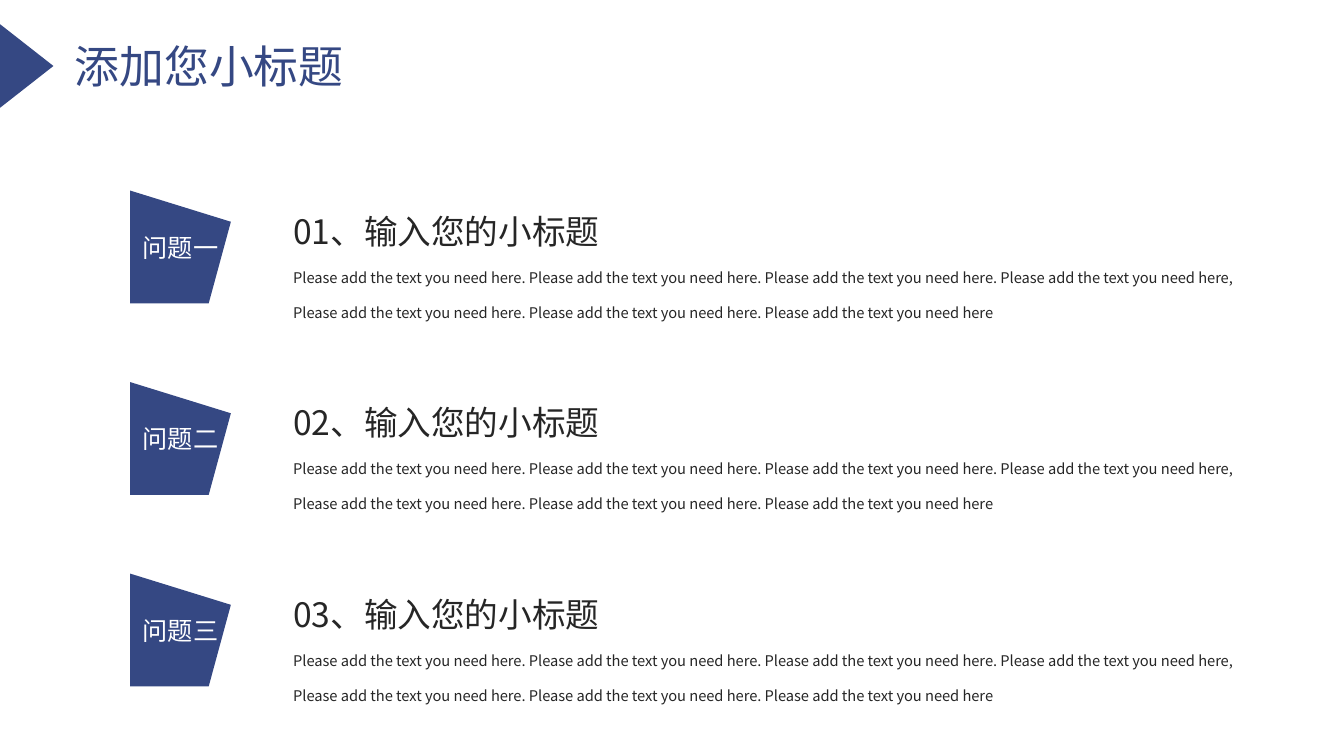
import dataclasses

import lxml.etree
import pptx
import pptx.dml.color
import pptx.enum.shapes
import pptx.enum.text
import pptx.oxml.ns
import pptx.util

PX = 9144  # EMU in one px, 100 px to the inch
FONT = "Noto Sans CJK SC"
BLUE, INK, WHITE = "354883", "262626", "FFFFFF"
TOP, STEP = 189, 190
ASK = "Please add the text you need here"
BODY = f"{ASK}. {ASK}. {ASK}. {ASK}, {ASK}. {ASK}. {ASK}"


@dataclasses.dataclass
class Topic:
    tag: str
    head: str


TOPICS = [
    Topic("问题一", "01、输入您的小标题"),
    Topic("问题二", "02、输入您的小标题"),
    Topic("问题三", "03、输入您的小标题"),
]


def px(size: int) -> pptx.util.Emu:
    return pptx.util.Emu(size * PX)


def rgb(code: str) -> pptx.dml.color.RGBColor:
    return pptx.dml.color.RGBColor.from_string(code)


def place(shape, left: int, top: int, width: int, height: int) -> None:
    shape.left, shape.top = px(left), px(top)
    shape.width, shape.height = px(width), px(height)


def paint(shape) -> None:
    """Give a shape the flat blue look."""
    shape.shadow.inherit = False
    shape.fill.solid()
    shape.fill.fore_color.rgb = rgb(BLUE)
    shape.line.fill.background()


def style(para, size: float, color: str) -> None:
    """Set the font, for Latin and East Asian text alike."""
    font = para.font
    font.size = pptx.util.Pt(size)
    font.color.rgb = rgb(color)
    font.name = FONT
    props = para._p.pPr.find(pptx.oxml.ns.qn("a:defRPr"))
    lxml.etree.SubElement(props, pptx.oxml.ns.qn("a:ea"), typeface=FONT)


def add_title(slide, text: str) -> None:
    title = slide.shapes.title
    place(title, 64, 33, 339, 64)
    frame = title.text_frame
    frame.text = text
    frame.auto_size = pptx.enum.text.MSO_AUTO_SIZE.SHAPE_TO_FIT_TEXT
    frame.vertical_anchor = pptx.enum.text.MSO_ANCHOR.TOP
    para = frame.paragraphs[0]
    para.alignment = pptx.enum.text.PP_ALIGN.LEFT
    style(para, 32, BLUE)


def add_arrow(slide) -> None:
    kind = pptx.enum.shapes.MSO_SHAPE.ISOSCELES_TRIANGLE
    arrow = slide.shapes.add_shape(kind, px(-15), px(39), px(83), px(53))
    arrow.rotation = 90
    paint(arrow)


def add_tag(slide, text: str, top: int) -> None:
    pen = slide.shapes.build_freeform(129, top, scale=PX)
    pen.add_line_segments([(229, top + 31), (207, top + 112), (129, top + 112)])
    tag = pen.convert_to_shape()
    paint(tag)
    frame = tag.text_frame
    frame.margin_left = frame.margin_right = 0
    frame.margin_top = frame.margin_bottom = 0
    frame.vertical_anchor = pptx.enum.text.MSO_ANCHOR.MIDDLE
    frame.text = text
    para = frame.paragraphs[0]
    para.alignment = pptx.enum.text.PP_ALIGN.CENTER
    style(para, 18, WHITE)


def add_note(slide, head: str, top: int) -> None:
    box = slide.shapes.add_textbox(px(281), px(top), px(967), px(162))
    frame = box.text_frame
    frame.word_wrap = True
    frame.auto_size = pptx.enum.text.MSO_AUTO_SIZE.SHAPE_TO_FIT_TEXT
    frame.text = f"{head}\n{BODY}"
    for para, size in zip(frame.paragraphs, (24, 10.5)):
        para.line_spacing = 2.0
        style(para, size, INK)


def main() -> None:
    deck = pptx.Presentation()
    deck.slide_width, deck.slide_height = px(1333), px(750)
    slide = deck.slides.add_slide(deck.slide_layouts.get_by_name("Title Only"))
    add_title(slide, "添加您小标题")
    add_arrow(slide)
    for row, topic in enumerate(TOPICS):
        top = TOP + row * STEP
        add_tag(slide, topic.tag, top)
        add_note(slide, topic.head, top - 25)
    deck.save("out.pptx")


if __name__ == "__main__":
    main()
